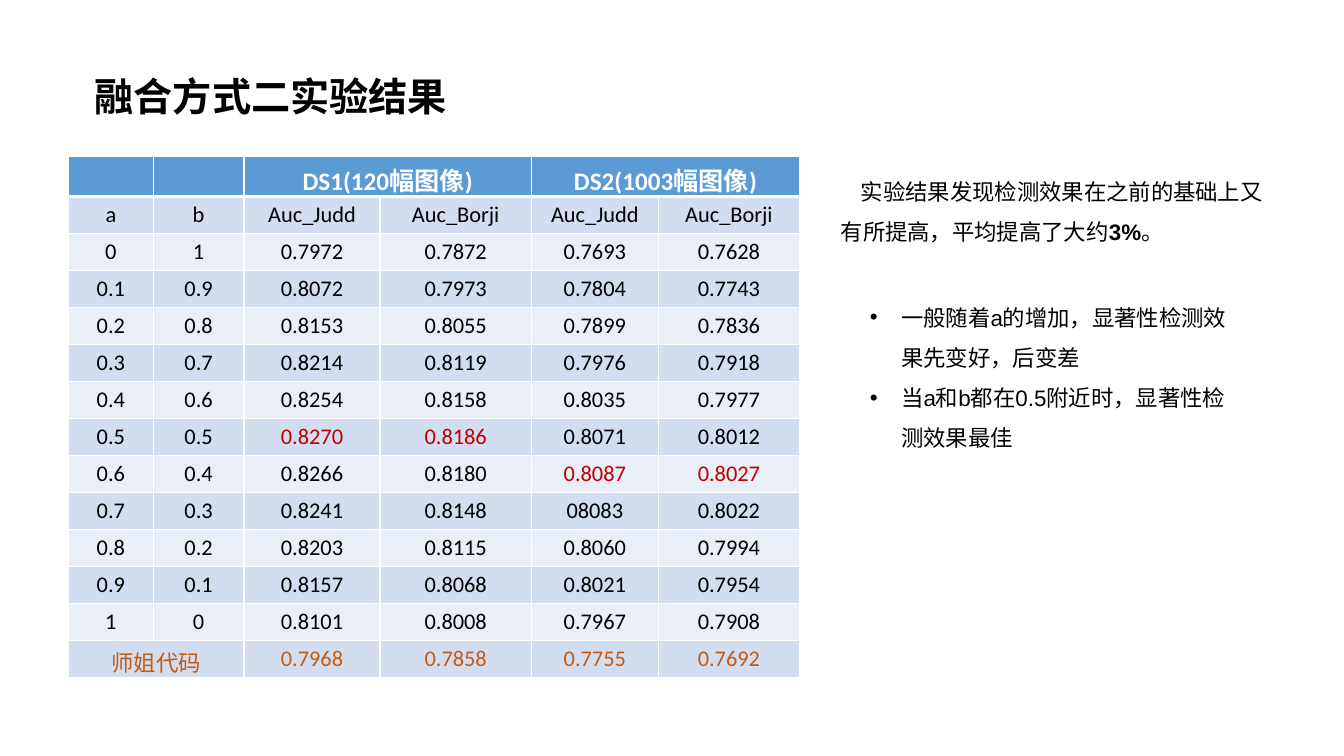
"""Build the slide with the results of the second fusion method."""
from lxml import etree
from pptx import Presentation, util as u
from pptx.dml.color import RGBColor
from pptx.enum import text
from pptx.oxml.ns import qn

COLOURS = {"ink": "000000", "white": "FFFFFF", "header": "5B9BD5", "odd": "D2DEEF",
           "even": "EAEFF7", "best": "C00000", "baseline": "C55A11"}
COLUMN_WIDTHS = [0.84, 0.9, 1.35, 1.5, 1.26, 1.4]
HEADER_HEIGHT = 0.4
SCORES = [
    "0.7972 0.7872 0.7693 0.7628",
    "0.8072 0.7973 0.7804 0.7743",
    "0.8153 0.8055 0.7899 0.7836",
    "0.8214 0.8119 0.7976 0.7918",
    "0.8254 0.8158 0.8035 0.7977",
    "0.8270 0.8186 0.8071 0.8012",
    "0.8266 0.8180 0.8087 0.8027",
    "0.8241 0.8148 08083 0.8022",
    "0.8203 0.8115 0.8060 0.7994",
    "0.8157 0.8068 0.8021 0.7954",
    "0.8101 0.8008 0.7967 0.7908",
]
BASELINE = ["师姐代码", "", "0.7968", "0.7858", "0.7755", "0.7692"]
BEST = {"0.8270", "0.8186", "0.8087", "0.8027"}


class ResultSlide:
    """Hold the style and the current slide."""

    def __init__(self, deck):
        self.slide = deck.slides.add_slide(deck.slide_layouts[6])

    def add_words(self, paragraph, words, colour="ink", **formats):
        """Add a run with the given font values."""
        run = paragraph.add_run()
        run.text = words
        values = {"name": "Calibri", "size": u.Pt(16), "bold": False, **formats}
        for attribute, value in values.items():
            setattr(run.font, attribute, value)
        run.font.color.rgb = RGBColor.from_string(COLOURS[colour])

    def text_box(self, place, paragraphs, spacing=1.0, left=0, first=0, bullet=None):
        """Add a text box; each paragraph is a list of (words, formats)."""
        frame = self.slide.shapes.add_textbox(*map(u.Inches, place)).text_frame
        frame.word_wrap = True
        frame.auto_size = text.MSO_AUTO_SIZE.SHAPE_TO_FIT_TEXT
        for index, runs in enumerate(paragraphs):
            paragraph = frame.add_paragraph() if index else frame.paragraphs[0]
            paragraph.line_spacing = spacing
            properties = paragraph._p.get_or_add_pPr()
            properties.set("marL", str(u.Inches(left)))
            properties.set("indent", str(u.Inches(first)))
            if bullet:
                etree.SubElement(properties, qn("a:buFont"), typeface="Arial")
                etree.SubElement(properties, qn("a:buChar"), char=bullet)
            for words, formats in runs:
                self.add_words(paragraph, words, **formats)

    def border(self, cell, bottom):
        """Draw white cell borders; bottom is the lower width in points."""
        properties = cell._tc.get_or_add_tcPr()
        for index, (side, width) in enumerate(zip("LRTB", (1, 1, 1, bottom))):
            line = etree.Element(qn(f"a:ln{side}"), w=str(u.Pt(width)))
            fill = etree.SubElement(line, qn("a:solidFill"))
            etree.SubElement(fill, qn("a:srgbClr"), val=COLOURS["white"])
            properties.insert(index, line)

    def table(self, place, rows, merges):
        """Add the score table with a header row and banded body rows."""
        shape = self.slide.shapes.add_table(len(rows), len(rows[0]), *map(u.Inches, place))
        scores = shape.table
        for column, width in zip(scores.columns, COLUMN_WIDTHS):
            column.width = u.Inches(width)
        body_height = (place[3] - HEADER_HEIGHT) / (len(rows) - 1)
        for r, row in enumerate(rows):
            scores.rows[r].height = u.Inches(body_height if r else HEADER_HEIGHT)
            band = "header" if r == 0 else "odd" if r % 2 else "even"
            for c, words in enumerate(row):
                cell = scores.cell(r, c)
                cell.fill.solid()
                cell.fill.fore_color.rgb = RGBColor.from_string(COLOURS[band])
                self.border(cell, 1 if r else 3)
                paragraph = cell.text_frame.paragraphs[0]
                paragraph.alignment = text.PP_ALIGN.CENTER
                if not words:
                    continue
                if r == 0:
                    self.add_words(paragraph, words, "white", size=u.Pt(18), bold=True)
                else:
                    last = r == len(rows) - 1
                    colour = "baseline" if last else "best" if words in BEST else "ink"
                    self.add_words(paragraph, words, colour)
        for r, c in merges:
            scores.cell(r, c).merge(scores.cell(r, c + 1))


def main():
    deck = Presentation()
    deck.slide_width, deck.slide_height = u.Inches(13.33), u.Inches(7.5)
    results = ResultSlide(deck)
    arial = {"name": "Arial"}

    results.text_box((8.24, 1.58, 4.43, 0.91), [[
        ("实验结果发现检测效果在之前的基础上又有所提高，平均提高了大约", arial),
        ("3%", {**arial, "bold": True}),
        ("。", arial)]], spacing=1.5, first=0.2)
    results.text_box((0.84, 0.67, 4.19, 0.57), [[
        ("融合方式二实验结果", {"size": u.Pt(28), "bold": True})]])

    rows = [["", "", "DS1(120幅图像)", "", "DS2(1003幅图像)", ""],
            ["a", "b"] + ["Auc_Judd", "Auc_Borji"] * 2]
    for step, line in enumerate(SCORES):
        weights = [f"{tenths / 10:g}" for tenths in (step, 10 - step)]
        rows.append(weights + line.split())
    rows.append(BASELINE)
    results.table((0.68, 1.55, 7.25, 5.17), rows, [(0, 2), (0, 4), (len(rows) - 1, 0)])

    results.text_box((8.53, 2.83, 3.84, 2.12), [
        [("一般随着a的增加，显著性检测效果先变好，后变差", arial)],
        [("当a和b都在0.5附近时，显著性检测效果最佳", arial)],
    ], spacing=1.5, left=0.31, first=-0.31, bullet="•")
    deck.save("out.pptx")


if __name__ == "__main__":
    main()
